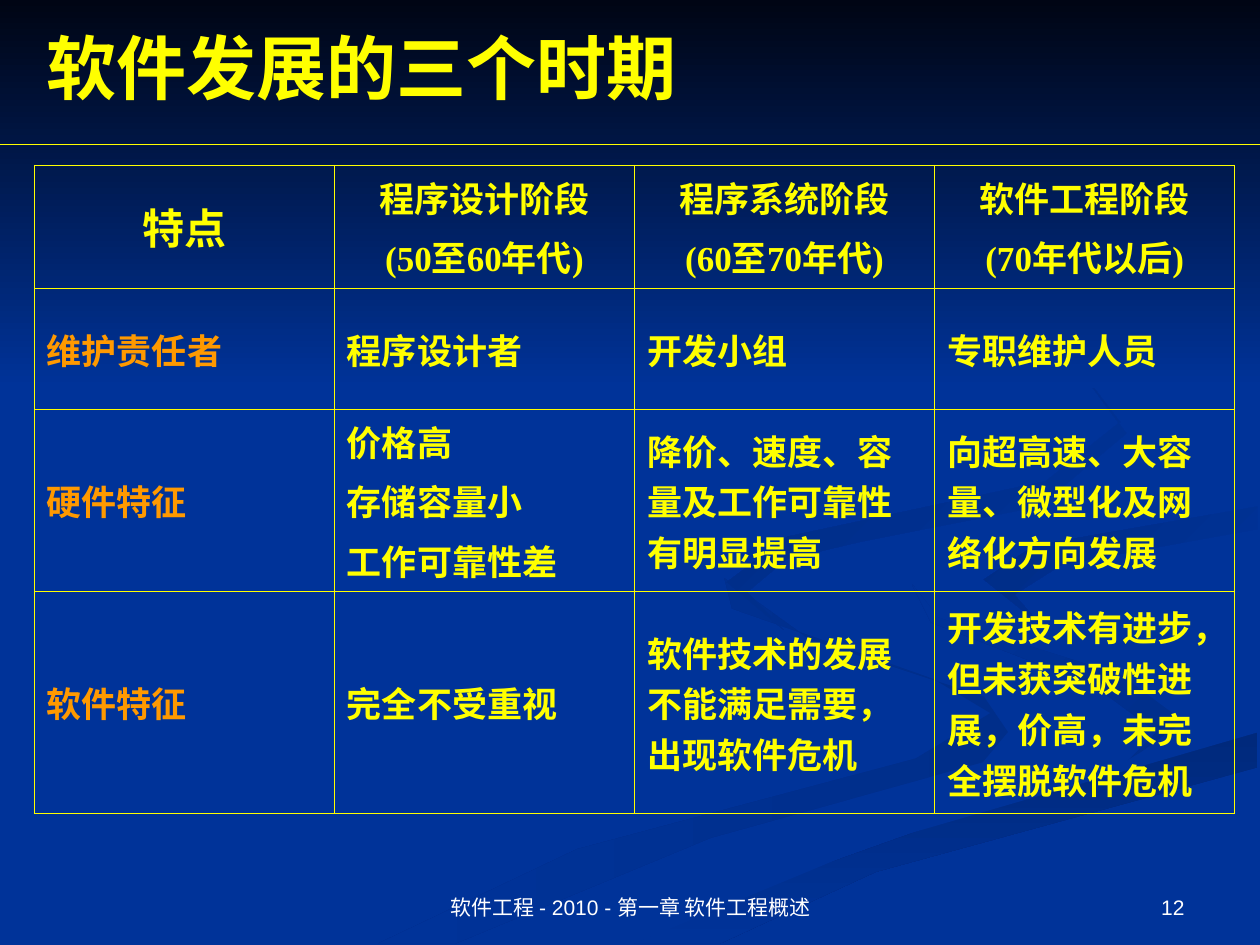
"""Build the slide on the three periods of software development."""
from dataclasses import dataclass

from lxml import etree
from pptx import Presentation
from pptx.dml.color import RGBColor
from pptx.enum.shapes import MSO_CONNECTOR, MSO_SHAPE
from pptx.enum.text import MSO_ANCHOR, MSO_AUTO_SIZE, PP_ALIGN
from pptx.oxml.ns import qn
from pptx.util import Cm, Pt

LEFT, CENTER, RIGHT = PP_ALIGN.LEFT, PP_ALIGN.CENTER, PP_ALIGN.RIGHT
TOP, MIDDLE, BOTTOM = MSO_ANCHOR.TOP, MSO_ANCHOR.MIDDLE, MSO_ANCHOR.BOTTOM
RECTANGLE, STRAIGHT = MSO_SHAPE.RECTANGLE, MSO_CONNECTOR.STRAIGHT
NO_AUTOFIT = MSO_AUTO_SIZE.NONE

BLUE = RGBColor(0x00, 0x33, 0x99)
NIGHT = RGBColor(0x00, 0x05, 0x14)
SHADE = RGBColor(0x00, 0x2E, 0x8A)
DEEP_SHADE = RGBColor(0x00, 0x29, 0x7C)
INNER_SHADE = RGBColor(0x00, 0x2C, 0x85)
OUTER_SHADE = RGBColor(0x00, 0x2B, 0x81)
YELLOW = RGBColor(0xFF, 0xFF, 0x00)
ORANGE = RGBColor(0xFF, 0x99, 0x00)
WHITE = RGBColor(0xFF, 0xFF, 0xFF)

SERIF, SANS = "Times New Roman", "Arial"
SLIDE_WIDTH, SLIDE_HEIGHT = Cm(25.4), Cm(19.05)
RIBBON_UNIT = Cm(0.0254)
COLUMN_WIDTH = Cm(6.05)
ROW_HEIGHTS = (Cm(2.44), Cm(2.44), Cm(3.15), Cm(4.47))
ROWS = (
    ("特点", "程序设计阶段\n(50至60年代)", "程序系统阶段\n(60至70年代)", "软件工程阶段\n(70年代以后)"),
    ("维护责任者", "程序设计者", "开发小组", "专职维护人员"),
    ("硬件特征", "价格高\n存储容量小\n工作可靠性差", "降价、速度、容量及工作可靠性有明显提高",
     "向超高速、大容量、微型化及网络化方向发展"),
    ("软件特征", "完全不受重视", "软件技术的发展不能满足需要，出现软件危机",
     "开发技术有进步，但未获突破性进展，价高，未完全摆脱软件危机"),
)


@dataclass(frozen=True)
class Ribbon:
    points: tuple
    start: RGBColor
    end: RGBColor
    angle: int


@dataclass(frozen=True)
class Caption:
    text: str
    left: float
    width: float
    align: PP_ALIGN


RIBBONS = (
    Ribbon(((781, 553), (642, 507), (575, 459), (581, 483), (741, 539), (786, 566),
            (727, 602), (458, 674), (300, 749), (361, 749), (564, 665), (780, 605),
            (800, 581)), SHADE, BLUE, 180),
    Ribbon(((943, 570), (888, 535), (745, 490), (724, 464), (739, 494), (868, 544),
            (918, 581), (894, 605)), SHADE, BLUE, 135),
    Ribbon(((503, 749), (571, 749), (695, 692), (998, 609), (998, 581), (764, 647),
            (599, 706)), DEEP_SHADE, BLUE, 270),
    Ribbon(((725, 464), (745, 490), (889, 535), (943, 575), (892, 605), (704, 655),
            (477, 749), (503, 749), (696, 669), (999, 581), (999, 538), (804, 485),
            (792, 447), (999, 402), (999, 387), (755, 432)), BLUE, BLUE, 0),
    Ribbon(((781, 460), (826, 496), (805, 472), (843, 448), (998, 420), (998, 402),
            (821, 433)), BLUE, INNER_SHADE, 135),
    Ribbon(((683, 430), (825, 402), (894, 344), (843, 275), (762, 233), (846, 279),
            (889, 335), (830, 382), (625, 426), (577, 462), (622, 500), (593, 470),
            (624, 444)), BLUE, OUTER_SHADE, 135),
)
CAPTIONS = (
    Caption("软件工程 - 2010 - 第一章 软件工程概述", 8.69, 8.05, CENTER),
    Caption("12", 18.21, 5.92, RIGHT),
)


def apply(target: object, values: dict) -> None:
    for name, value in values.items():
        setattr(target, name, value)


def write(frame, text: str, align: PP_ALIGN, font: dict, color: RGBColor, gap: float = 0) -> None:
    for index, line in enumerate(text.split("\n")):
        para = frame.paragraphs[0] if index == 0 else frame.add_paragraph()
        para.alignment = align
        if index:
            para.space_before = Pt(gap)
        span = para.add_run()
        span.text = line
        apply(span.font, font)
        span.font.color.rgb = color


def shade(shape, start: RGBColor, end: RGBColor, angle: int) -> None:
    shape.shadow.inherit = False
    shape.line.fill.background()
    if start == end:
        shape.fill.solid()
        shape.fill.fore_color.rgb = start
        return
    shape.fill.gradient()
    shape.fill.gradient_angle = angle
    for stop, color in zip(shape.fill.gradient_stops, (start, end)):
        stop.color.rgb = color


def draw_ribbon(page, ribbon: Ribbon) -> None:
    outline = page.shapes.build_freeform(*ribbon.points[0], scale=RIBBON_UNIT)
    outline.add_line_segments(ribbon.points[1:], close=True)
    shade(outline.convert_to_shape(), ribbon.start, ribbon.end, ribbon.angle)


def draw_title(page) -> None:
    title = page.shapes.title
    page.shapes._spTree.append(title._element)
    apply(title, {"left": Cm(0.69), "top": Cm(0.33), "width": Cm(22.86), "height": Cm(2.01)})
    apply(title.text_frame, {"vertical_anchor": MIDDLE, "word_wrap": True,
                             "auto_size": NO_AUTOFIT})
    write(title.text_frame, "软件发展的三个时期", LEFT,
          {"size": Pt(40), "name": SERIF, "bold": True}, YELLOW)


def draw_rule(page) -> None:
    rule = page.shapes.add_connector(STRAIGHT, 0, Cm(2.92), SLIDE_WIDTH, Cm(2.92))
    rule.line.color.rgb = YELLOW
    rule.line.width = Pt(0.75)
    etree.SubElement(rule._element.spPr, qn("a:effectLst"))


def border(cell) -> None:
    properties = cell._tc.get_or_add_tcPr()
    for index, side in enumerate(("a:lnL", "a:lnR", "a:lnT", "a:lnB")):
        edge = etree.Element(qn(side), w=str(Pt(0.45)))
        fill = etree.SubElement(edge, qn("a:solidFill"))
        etree.SubElement(fill, qn("a:srgbClr"), val=str(YELLOW))
        properties.insert(index, edge)


def draw_table(page) -> None:
    columns = len(ROWS[0])
    table = page.shapes.add_table(len(ROWS), columns, Cm(0.69), Cm(3.33),
                                  COLUMN_WIDTH * columns, sum(ROW_HEIGHTS)).table
    apply(table, {"first_row": False, "horz_banding": False})
    for column in table.columns:
        column.width = COLUMN_WIDTH
    for row, (texts, height) in enumerate(zip(ROWS, ROW_HEIGHTS)):
        table.rows[row].height = height
        for column, text in enumerate(texts):
            cell = table.cell(row, column)
            cell.fill.background()
            border(cell)
            is_head, is_label = row == 0, column == 0
            cell.vertical_anchor = TOP if is_head and not is_label else MIDDLE
            size = Pt(24 if is_head and is_label else 20)
            color = ORANGE if is_label and not is_head else YELLOW
            write(cell.text_frame, text, CENTER if is_head else LEFT,
                  {"size": size, "name": SERIF, "bold": True}, color, gap=5)


def draw_caption(page, caption: Caption) -> None:
    box = page.shapes.add_textbox(Cm(caption.left), Cm(17.35), Cm(caption.width), Cm(1.32))
    apply(box.text_frame, {"word_wrap": True, "vertical_anchor": BOTTOM})
    write(box.text_frame, caption.text, caption.align, {"size": Pt(12), "name": SANS}, WHITE)


def main() -> None:
    deck = Presentation()
    apply(deck, {"slide_width": SLIDE_WIDTH, "slide_height": SLIDE_HEIGHT})
    page = deck.slides.add_slide(deck.slide_layouts[5])
    page.background.fill.solid()
    page.background.fill.fore_color.rgb = BLUE
    for ribbon in RIBBONS:
        draw_ribbon(page, ribbon)
    shade(page.shapes.add_shape(RECTANGLE, 0, 0, SLIDE_WIDTH, Cm(7.82)), NIGHT, BLUE, 270)
    draw_title(page)
    draw_rule(page)
    draw_table(page)
    for caption in CAPTIONS:
        draw_caption(page, caption)
    deck.save("out.pptx")


if __name__ == "__main__":
    main()
